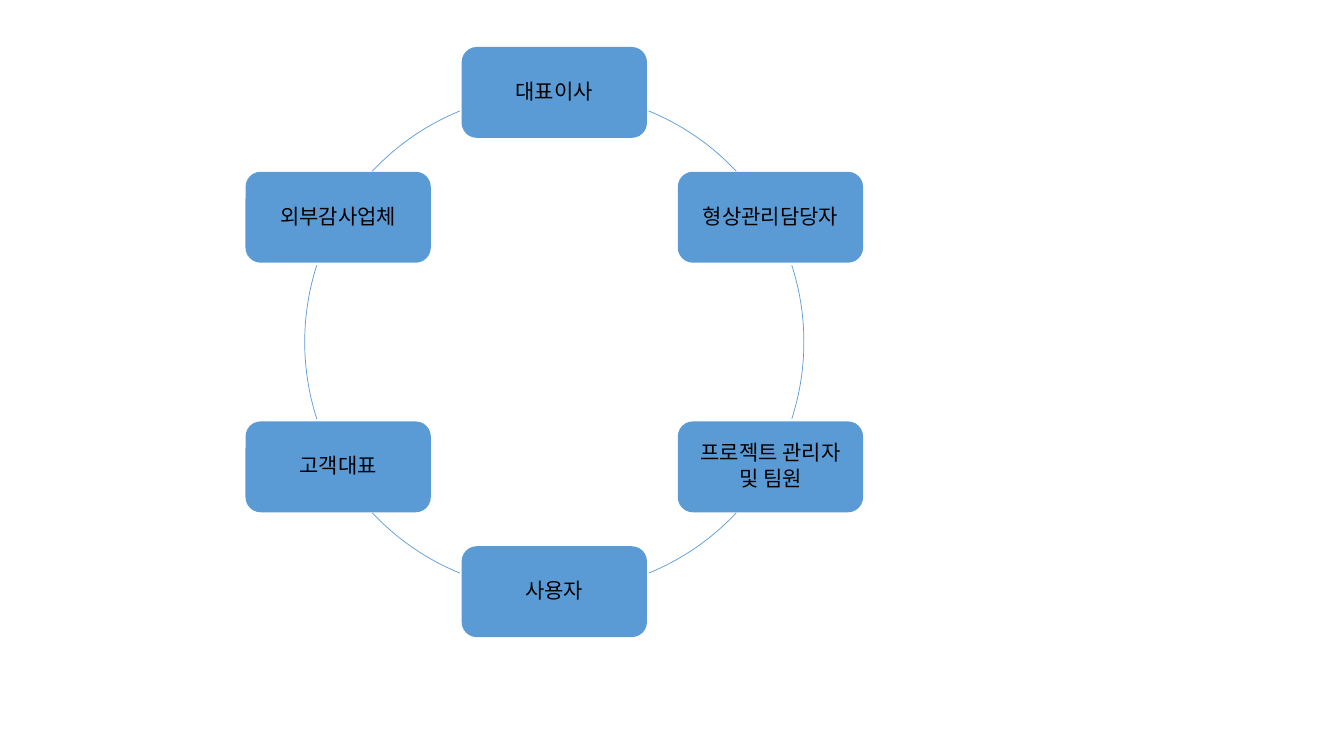
import math
from dataclasses import dataclass

from lxml import etree
from pptx import Presentation
from pptx import util as u
from pptx.dml import color
from pptx.enum import shapes, text
from pptx.oxml import ns


@dataclass(frozen=True)
class Theme:
    accent: color.RGBColor = color.RGBColor(0x5B, 0x9B, 0xD5)
    ink: color.RGBColor = color.RGBColor(0, 0, 0)
    font: str = "Noto Sans CJK KR"
    label_size: u.Pt = u.Pt(15)
    paragraph_gap: u.Pt = u.Pt(2)
    line_spacing: float = 0.9
    ring_width: u.Pt = u.Pt(0.5)


class CycleSlide:
    def __init__(self, slide, theme):
        self.slide = slide
        self.theme = theme

    def shape(self, kind, center_x, center_y, width, height):
        shape = self.slide.shapes.add_shape(
            kind, u.Cm(center_x - width / 2), u.Cm(center_y - height / 2),
            u.Cm(width), u.Cm(height))
        shape.shadow.inherit = False
        return shape

    def role(self, label, center_x, center_y, width, height):
        role = self.shape(shapes.MSO_SHAPE.ROUNDED_RECTANGLE,
                          center_x, center_y, width, height)
        role.fill.solid()
        role.fill.fore_color.rgb = self.theme.accent
        role.line.fill.background()
        frame = role.text_frame
        frame.word_wrap = True
        frame.vertical_anchor = text.MSO_ANCHOR.MIDDLE
        frame.margin_left = frame.margin_right = u.Cm(0.27)
        frame.margin_top = frame.margin_bottom = u.Cm(0.27)
        frame.text = label
        for paragraph in frame.paragraphs:
            paragraph.alignment = text.PP_ALIGN.CENTER
            paragraph.line_spacing = self.theme.line_spacing
            paragraph.space_after = self.theme.paragraph_gap
            for run in paragraph.runs:
                self.style(run)

    def style(self, run):
        run.font.size = self.theme.label_size
        run.font.color.rgb = self.theme.ink
        run.font.name = self.theme.font
        east_asian = etree.SubElement(run.font._element, ns.qn("a:ea"))
        east_asian.set("typeface", self.theme.font)

    def arc(self, center_x, center_y, radius, start, end):
        arc = self.shape(shapes.MSO_SHAPE.ARC, center_x, center_y,
                         2 * radius, 2 * radius)
        arc.adjustments[0] = start % 360 * 0.6
        arc.adjustments[1] = end % 360 * 0.6
        arc.fill.background()
        arc.line.color.rgb = self.theme.accent
        arc.line.width = self.theme.ring_width


CENTER_X, CENTER_Y, RADIUS = 13.97, 8.62, 6.29
ROLE_WIDTH, ROLE_HEIGHT = 4.67, 2.29
ROLES = ["대표이사", "형상관리담당자", "프로젝트 관리자\n및 팀원",
         "사용자", "고객대표", "외부감사업체"]
ARCS = [(-67.8, -43.2), (-17.9, 17.9), (43.2, 67.8),
        (112.2, 136.8), (162.1, 197.9), (223.2, 247.8)]

deck = Presentation()
deck.slide_width, deck.slide_height = u.Cm(33.87), u.Cm(19.05)
cycle = CycleSlide(deck.slides.add_slide(deck.slide_layouts[6]), Theme())

for index, (label, (start, end)) in enumerate(zip(ROLES, ARCS)):
    angle = math.radians(index * 360 / len(ROLES) - 90)
    cycle.role(label, CENTER_X + RADIUS * math.cos(angle),
               CENTER_Y + RADIUS * math.sin(angle), ROLE_WIDTH, ROLE_HEIGHT)
    cycle.arc(CENTER_X, CENTER_Y, RADIUS, start, end)

deck.save("out.pptx")
